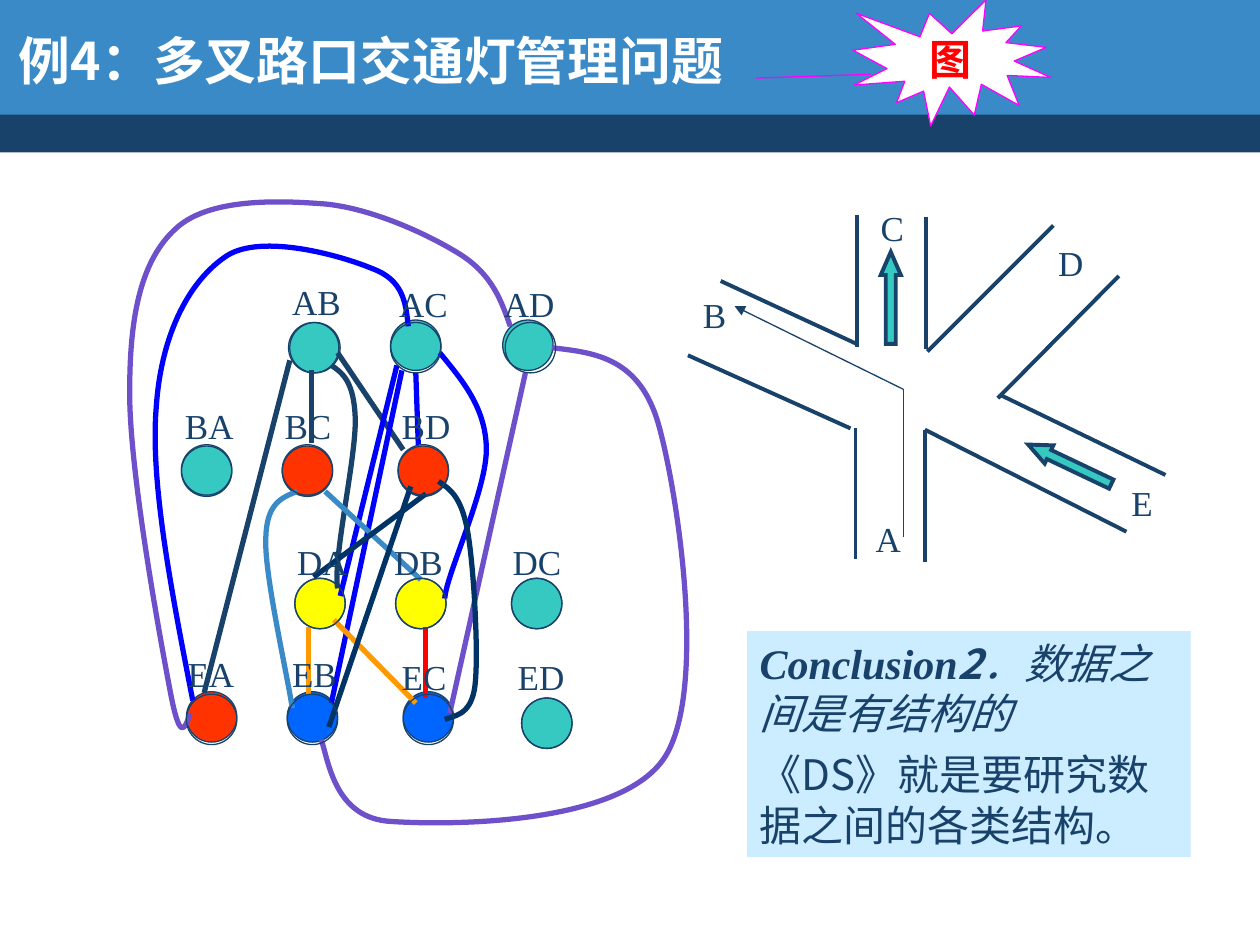
"""Build the traffic-light graph slide: a crossroads beside its conflict graph."""
from pptx import Presentation
from pptx.dml.color import RGBColor
from pptx.enum.shapes import MSO_CONNECTOR, MSO_SHAPE
from pptx.enum.text import MSO_ANCHOR, MSO_AUTO_SIZE, PP_ALIGN
from pptx.oxml.xmlchemy import OxmlElement
from pptx.util import Pt

PX = 9144
NAVY = RGBColor(0x19, 0x42, 0x6B)
SKY = RGBColor(0x39, 0x8A, 0xC7)
TEAL = RGBColor(0x35, 0xC9, 0xC2)
ORANGE_RED = RGBColor(0xFF, 0x33, 0x00)
YELLOW = RGBColor(0xFF, 0xFF, 0x00)
AZURE = RGBColor(0x00, 0x66, 0xFF)
BLUE = RGBColor(0x00, 0x00, 0xFF)
PURPLE = RGBColor(0x6D, 0x50, 0xCA)
ORANGE = RGBColor(0xFF, 0x99, 0x00)
RED = RGBColor(0xFF, 0x00, 0x00)
INK = RGBColor(0x00, 0x33, 0x66)
MAGENTA = RGBColor(0xFF, 0x00, 0xFF)
WHITE = RGBColor(0xFF, 0xFF, 0xFF)
PALE = RGBColor(0xCC, 0xEC, 0xFF)
SERIF = "Times New Roman"
SANS = "Noto Sans CJK SC"

prs = Presentation()
prs.slide_width, prs.slide_height = 1000 * PX, 750 * PX
slide = prs.slides.add_slide(prs.slide_layouts[6])
shapes = slide.shapes


def add_line(start, end, color, width):
    s = shapes.add_connector(MSO_CONNECTOR.STRAIGHT, *[v * PX for v in start + end])
    s.line.color.rgb = color
    s.line.width = Pt(width)
    s._element.spPr.append(OxmlElement("a:effectLst"))
    return s


def format_run(r, size, color, font, bold=False, italic=False):
    r.font.size, r.font.bold, r.font.italic = Pt(size), bold, italic
    r.font.color.rgb = color
    r.font.name = font
    ea = OxmlElement("a:ea")
    ea.set("typeface", SANS)
    r.font._element.append(ea)


for top, height, color in [(87, 34, NAVY), (0, 91, SKY)]:
    s = shapes.add_shape(MSO_SHAPE.RECTANGLE, 0, top * PX, 1000 * PX, height * PX)
    s.shadow.inherit = False
    s.fill.solid()
    s.fill.fore_color.rgb = color
    s.line.fill.background()

tf = shapes.add_textbox(15 * PX, 27 * PX, 616 * PX, 55 * PX).text_frame
tf.word_wrap = True
tf.margin_left = tf.margin_right = 0
p = tf.paragraphs[0]
p.text = "例4：多叉路口交通灯管理问题"
p.line_spacing = 0.8
format_run(p.runs[0], 29.6, WHITE, SANS, bold=True)

roads = [
    ((680, 171), (680, 275)), ((735, 172), (735, 277)),
    ((679, 340), (679, 444)), ((734, 341), (734, 446)),
    ((680, 273), (572, 223)), ((675, 340), (546, 282)),
    ((792, 316), (888, 219)), ((795, 314), (925, 377)),
    ((734, 341), (894, 422)), ((736, 279), (836, 179)),
]
for start, end in roads:
    add_line(start, end, NAVY, 2.25)

for left, top, angle in [(699, 200, 0), (841, 332, 295.4)]:
    s = shapes.add_shape(MSO_SHAPE.UP_ARROW, left * PX, top * PX, 16 * PX, 73 * PX)
    s.adjustments[0], s.adjustments[1] = 0.5, 1.146
    s.rotation = angle
    s.shadow.inherit = False
    s.fill.solid()
    s.fill.fore_color.rgb = TEAL
    s.line.color.rgb = NAVY
    s.line.width = Pt(2.25)
    miter = OxmlElement("a:miter")
    miter.set("lim", "800000")
    s.line._get_or_add_ln().append(miter)

nodes = [
    (230, 256, TEAL), (310, 254, TEAL), (399, 254, TEAL),
    (144, 354, TEAL), (224, 354, ORANGE_RED), (316, 354, ORANGE_RED),
    (234, 459, YELLOW), (314, 459, YELLOW), (406, 459, TEAL),
    (148, 549, ORANGE_RED), (228, 549, AZURE), (320, 549, AZURE), (414, 554, TEAL),
]
rings = [
    (229, 256, None), (310, 256, None), (401, 256, None),
    (144, 353, None), (224, 353, None), (316, 353, None),
    (234, 459, None), (314, 459, None), (406, 459, None),
    (148, 551, None), (228, 551, None), (320, 551, None), (414, 554, None),
]
edges = [
    (NAVY, [(230, 286), (162, 550)]),
    (NAVY, [(247, 294), (247, 352)]),
    (NAVY, [(263, 290), (272, 296), (281, 303), (282, 332), (283, 362), (264, 444), (268, 467)]),
    (NAVY, [(268, 280), (320, 357)]),
    (BLUE, [(324, 259), (322, 240), (320, 222), (295, 213), (271, 203), (208, 185), (180, 203),
            (151, 222), (128, 264), (124, 323), (119, 382), (136, 469), (153, 556)]),
    (BLUE, [(330, 296), (332, 353)]),
    (BLUE, [(349, 280), (367, 302), (385, 323), (386, 355), (387, 388), (354, 456), (353, 475)]),
    (BLUE, [(315, 290), (270, 473)]),
    (BLUE, [(319, 294), (263, 558)]),
    (PURPLE, [(405, 259), (398, 239), (391, 219), (367, 203), (342, 187), (297, 166), (259, 162),
              (221, 159), (165, 157), (139, 182), (113, 206), (103, 248), (103, 309),
              (102, 370), (127, 506), (135, 548), (143, 591), (147, 578), (151, 566)]),
    (PURPLE, [(417, 296), (357, 566)]),
    (PURPLE, [(438, 276), (473, 280), (508, 284), (523, 338), (538, 392), (562, 550), (527, 602),
              (491, 655), (356, 655), (311, 652), (266, 650), (261, 605), (255, 587)]),
    (SKY, [(258, 390), (334, 460)]),
    (SKY, [(236, 390), (223, 395), (211, 400), (211, 429), (210, 457), (229, 540), (232, 562)]),
    (ORANGE, [(245, 498), (245, 552)]),
    (ORANGE, [(265, 492), (330, 558)]),
    (RED, [(338, 498), (338, 554)]),
    (INK, [(249, 458), (338, 392)]),
    (INK, [(348, 382), (357, 388), (366, 394), (371, 421), (376, 448), (380, 519), (377, 544),
           (374, 569), (359, 568), (353, 571)]),
    (INK, [(326, 386), (261, 577)]),
]
labels = [
    ("C", 689, 159, 33), ("E", 888, 377, 37), ("D", 830, 187, 40),
    ("A", 685, 406, 40), ("B", 548, 228, 38),
    ("AB", 222, 218, 58), ("AC", 307, 219, 58), ("AD", 390, 219, 60),
    ("BA", 137, 316, 58), ("BC", 216, 316, 57), ("BD", 309, 316, 58),
    ("DA", 226, 424, 60), ("DB", 303, 424, 58), ("DC", 397, 424, 58),
    ("EA", 139, 513, 57), ("EB", 222, 513, 55), ("EC", 309, 515, 55), ("ED", 401, 515, 57),
]

for circles, curves, names in [(nodes, edges, labels), (rings, [], [])]:
    for left, top, color in circles:
        s = shapes.add_shape(MSO_SHAPE.OVAL, left * PX, top * PX, 40 * PX, 40 * PX)
        s.shadow.inherit = False
        if color is None:
            s.fill.background()
        else:
            s.fill.solid()
            s.fill.fore_color.rgb = color
        s.line.color.rgb = NAVY
        s.line.width = Pt(0.75)
    for color, points in curves:
        if len(points) == 2:
            add_line(*points, color, 3)
            continue
        builder = shapes.build_freeform(*points[0], scale=PX)
        builder.add_line_segments(points[1:], close=False)
        s = builder.convert_to_shape()
        s.shadow.inherit = False
        s.fill.background()
        s.line.color.rgb = color
        s.line.width = Pt(3)
        outline = s._element.xpath(".//a:path")[0]
        segments = outline.xpath("./a:lnTo")
        for i in range(0, len(segments), 3):
            bezier = OxmlElement("a:cubicBezTo")
            for segment in segments[i:i + 3]:
                bezier.append(segment[0])
                outline.remove(segment)
            outline.append(bezier)
    for name, left, top, width in names:
        tf = shapes.add_textbox(left * PX, top * PX, (width + 2) * PX, 44 * PX).text_frame
        tf.word_wrap = False
        tf.margin_right = 0
        tf.text = name
        format_run(tf.paragraphs[0].runs[0], 20, NAVY, SERIF)
        tf.paragraphs[0].alignment = PP_ALIGN.LEFT

s = shapes.add_shape(MSO_SHAPE.EXPLOSION1, 677 * PX, 0, 157 * PX, 100 * PX)
s.shadow.inherit = False
s.fill.solid()
s.fill.fore_color.rgb = WHITE
s.line.color.rgb = MAGENTA
s.line.width = Pt(0.75)
tf = s.text_frame
tf.word_wrap = False
tf.vertical_anchor = MSO_ANCHOR.MIDDLE
tf.text = "图"
tf.paragraphs[0].alignment = PP_ALIGN.CENTER
format_run(tf.paragraphs[0].runs[0], 24, RED, SERIF, bold=True)
add_line((600, 62), (691, 59), MAGENTA, 0.75)

add_line((717, 426), (717, 309), NAVY, 0.75)
s = add_line((717, 309), (583, 243), NAVY, 0.75)
tail = OxmlElement("a:tailEnd")
tail.set("type", "triangle")
s.line._get_or_add_ln().append(tail)

s = shapes.add_shape(MSO_SHAPE.RECTANGLE, 593 * PX, 501 * PX, 352 * PX, 179 * PX)
s.shadow.inherit = False
s.fill.solid()
s.fill.fore_color.rgb = PALE
s.line.fill.background()
tf = s.text_frame
tf.word_wrap = True
tf.auto_size = MSO_AUTO_SIZE.SHAPE_TO_FIT_TEXT
tf.vertical_anchor = MSO_ANCHOR.TOP
conclusion = [
    [("Conclusion", SERIF, True, True), ("2", SANS, True, True),
     ("．数据之间是有结构的", SANS, False, True)],
    [("《DS》就是要研究数据之间的各类结构。", SANS, False, False)],
]
for i, runs in enumerate(conclusion):
    p = tf.add_paragraph() if i else tf.paragraphs[0]
    p.alignment = PP_ALIGN.LEFT
    p.space_before = Pt(6 * i)
    for text, font, bold, italic in runs:
        r = p.add_run()
        r.text = text
        format_run(r, 24, NAVY, font, bold, italic)

prs.save("out.pptx")
